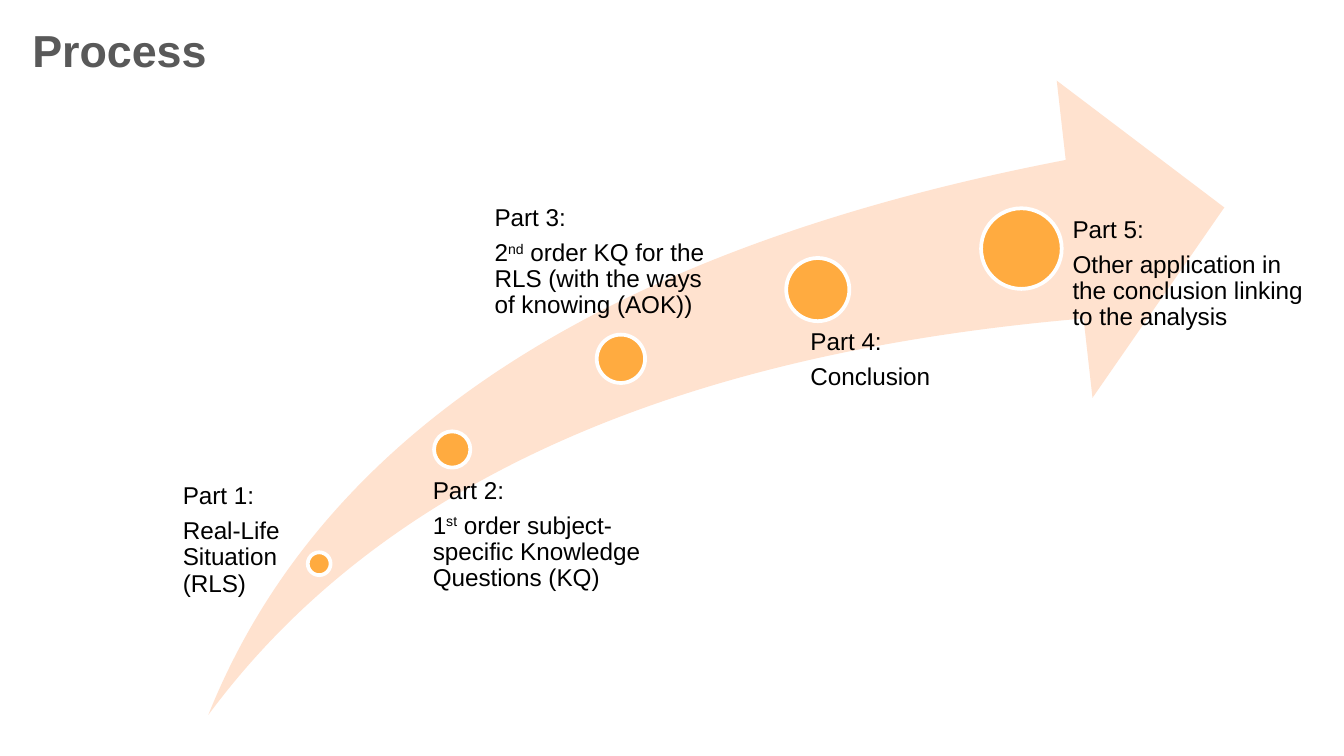
from pptx import Presentation
from pptx.dml.color import RGBColor
from pptx.enum.shapes import MSO_SHAPE
from pptx.enum.text import MSO_ANCHOR
from pptx.util import Inches, Pt

SWOOSH, OVAL = MSO_SHAPE.SWOOSH_ARROW, MSO_SHAPE.OVAL
TOP = MSO_ANCHOR.TOP
PEACH = RGBColor(0xFF, 0xE2, 0xCF)
ORANGE = RGBColor(0xFF, 0xAB, 0x40)
WHITE = RGBColor(0xFF, 0xFF, 0xFF)
BLACK = RGBColor(0, 0, 0)
GRAY = RGBColor(0x59, 0x59, 0x59)
FONT = "Arial"

# Each part: dot (left, top, diameter), label box, left inset,
# description as (text, is superscript) runs
PARTS = [
    ((2.29, 4.11, 0.17), (1.27, 3.6, 1.19, 1.12), 0.09,
     [("Real-Life Situation (RLS)", False)]),
    ((3.23, 3.21, 0.27), (3.08, 3.56, 1.89, 1.03), 0.14,
     [("1", False), ("st", True),
      (" order subject-specific Knowledge Questions (KQ)", False)]),
    ((4.44, 2.49, 0.36), (3.49, 1.53, 1.84, 0.93), 0.19,
     [("2", False), ("nd", True),
      (" order KQ for the RLS (with the ways of knowing (AOK))", False)]),
    ((5.85, 1.92, 0.47), (5.78, 2.45, 1.51, 0.41), 0.25,
     [("Conclusion", False)]),
    ((7.3, 1.55, 0.6), (7.66, 1.62, 2.08, 1.51), 0.32,
     [("Other application in the conclusion linking to the analysis", False)]),
]


def add_shape(s, kind, box, fill):
    sp = s.shapes.add_shape(kind, *map(Inches, box))
    sp.shadow.inherit = False
    sp.fill.solid()
    sp.fill.fore_color.rgb = fill
    return sp


def add_text(s, box, insets, paragraphs, size, color,
             bold=False, spacing=1.0, after=0):
    tf = s.shapes.add_textbox(*map(Inches, box)).text_frame
    tf.word_wrap = True
    tf.vertical_anchor = TOP
    tf.margin_left, tf.margin_top, tf.margin_right, tf.margin_bottom = map(Inches, insets)
    for i, runs in enumerate(paragraphs):
        p = tf.add_paragraph() if i else tf.paragraphs[0]
        p.line_spacing = spacing
        p.space_after = Pt(after)
        for text, raised in runs:
            r = p.add_run()
            r.text = text
            r.font.name, r.font.size, r.font.bold = FONT, Pt(size), bold
            r.font.color.rgb = color
            if raised:
                r.font._element.set("baseline", "30000")


# Widescreen 16:9 page
prs = Presentation()
prs.slide_width = Inches(10)
prs.slide_height = Inches(10) * 9 // 16
s = prs.slides.add_slide(prs.slide_layouts[6])

# Rising arrow
arrow = add_shape(s, SWOOSH, (1.55, 0.6, 7.56, 4.72), PEACH)
arrow.adjustments[0] = arrow.adjustments[1] = 0.25
arrow.line.fill.background()

# Dots along the arrow with their labels
for number, ((x, y, d), box, inset, description) in enumerate(PARTS, 1):
    dot = add_shape(s, OVAL, (x, y, d, d), ORANGE)
    dot.line.color.rgb = WHITE
    dot.line.width = Pt(2)
    add_text(s, box, (inset, 0, 0, 0),
             [[(f"Part {number}:", False)], description],
             13, BLACK, spacing=0.9, after=4.55)

# Title
add_text(s, (0.19, 0.06, 7.59, 0.63), (0.05,) * 4,
         [[("Process", False)]], 24, GRAY, bold=True, spacing=1.15)

prs.save("out.pptx")
